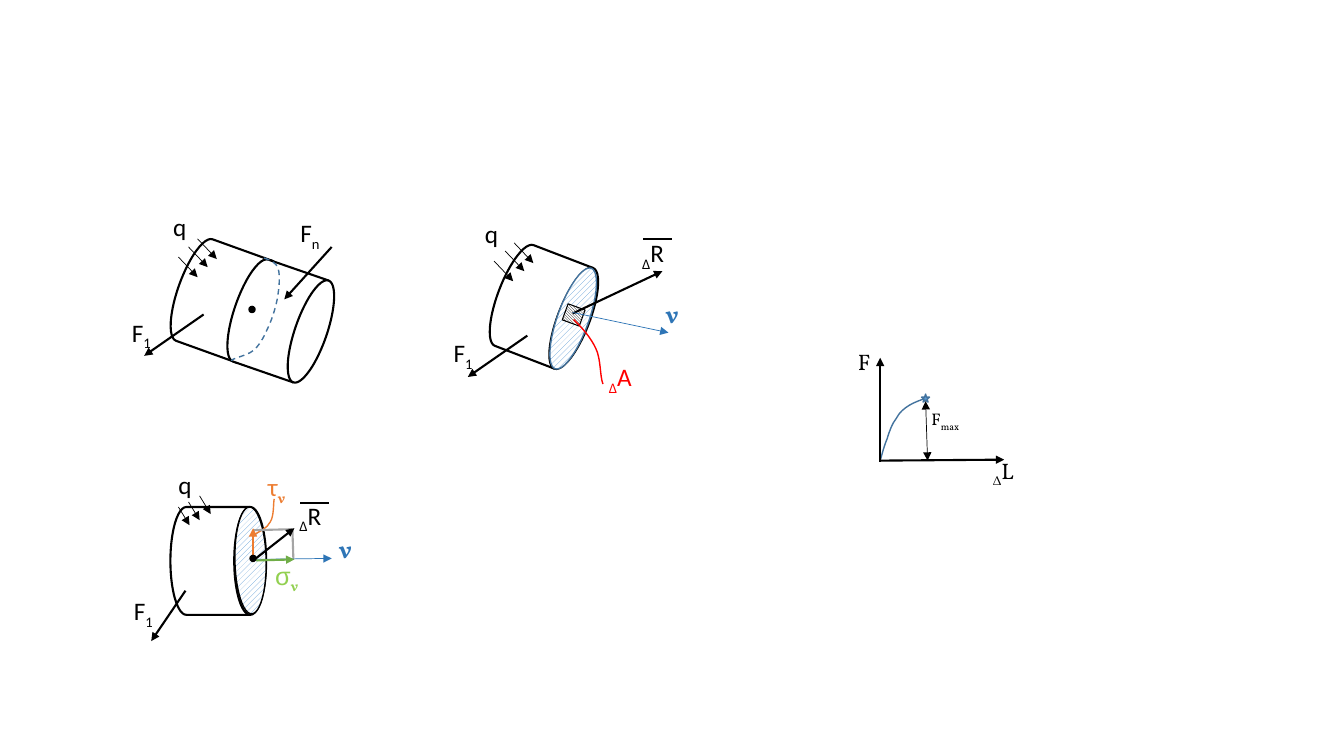
from dataclasses import dataclass

from lxml import etree
from pptx import Presentation
from pptx.dml.color import RGBColor
from pptx.enum.dml import MSO_LINE, MSO_PATTERN
from pptx.enum.shapes import MSO_CONNECTOR, MSO_SHAPE
from pptx.enum.text import MSO_AUTO_SIZE
from pptx.oxml.ns import qn
from pptx.util import Inches, Pt


@dataclass(frozen=True)
class Theme:
    black: str = "000000"
    white: str = "FFFFFF"
    blue: str = "5B9BD5"
    outline: str = "43739E"
    normal: str = "2E75B6"
    red: str = "FF0000"
    orange: str = "ED7D31"
    green: str = "70AD47"
    lime: str = "92D050"
    gray: str = "A5A5A5"
    sans: str = "Calibri"
    sigma: str = "Arial"
    serif: str = "Vollkorn"
    large: int = 18
    medium: int = 16
    small: int = 12
    thick: float = 1.5
    medium_line: float = 1
    thin: float = 0.5


THEME = Theme()
HATCH = MSO_PATTERN.WIDE_UPWARD_DIAGONAL
DENSE_HATCH = MSO_PATTERN.DARK_DOWNWARD_DIAGONAL

# left, top, rotation
DRUM_SIZE = (0.95, 1.07)
DRUMS = [(1.75, 2.45, 19.8), (2.31, 2.65, 19.1), (4.92, 2.51, 21), (1.69, 5.03, 0)]

# left, top, rotation, outline
SECTION_SIZE = (0.31, 1.06)
SECTIONS = [(5.53, 2.63, 19.8, THEME.outline), (2.33, 5.03, 358.8, THEME.black)]

DOT_SIZE = (0.06, 0.06)
DOTS = [(2.47, 3.04), (2.48, 5.51)]

# start point, then two control points and an end point per segment
CURVES = [
    ([(2.62, 2.56), (2.68, 2.58), (2.74, 2.6), (2.76, 2.67),
      (2.78, 2.73), (2.77, 2.86), (2.75, 2.97),
      (2.73, 3.07), (2.69, 3.19), (2.65, 3.27),
      (2.61, 3.36), (2.57, 3.43), (2.51, 3.48),
      (2.45, 3.53), (2.28, 3.56), (2.3, 3.58)], THEME.outline, MSO_LINE.DASH),
    ([(5.69, 3.17), (5.78, 3.26), (5.86, 3.35), (5.91, 3.46),
      (5.96, 3.56), (5.95, 3.74), (5.98, 3.81)], THEME.red, None),
    ([(2.51, 5.31), (2.58, 5.27), (2.65, 5.24), (2.68, 5.18),
      (2.72, 5.12), (2.71, 4.99), (2.72, 4.95)], THEME.orange, None),
    ([(8.73, 4.57), (8.75, 4.5), (8.77, 4.42), (8.8, 4.35),
      (8.82, 4.28), (8.85, 4.2), (8.89, 4.15),
      (8.92, 4.09), (8.97, 4.05), (9.02, 4.02),
      (9.07, 3.99), (9.13, 3.97), (9.18, 3.95)], THEME.outline, None),
]

# start points and the common run of each distributed load
LOADS = [
    ([(1.77, 2.55), (1.87, 2.45), (1.96, 2.37)], (0.19, 0.2)),
    ([(4.9, 2.59), (5.01, 2.49), (5.1, 2.41)], (0.19, 0.2)),
    ([(1.77, 5.03), (1.87, 4.98), (1.98, 4.92)], (0.11, 0.18)),
]

# start, end, colour, width
PLAIN_LINES = [
    ((2.9, 5.25), (2.91, 5.55), THEME.gray, THEME.thick),
    ((2.51, 5.26), (2.9, 5.25), THEME.gray, THEME.thick),
    ((6.38, 2.37), (6.67, 2.37), THEME.black, THEME.thick),
    ((2.98, 4.99), (3.26, 4.99), THEME.black, THEME.thick),
]
ARROWS = [
    ((2.02, 3.12), (1.43, 3.53), THEME.black, THEME.thick),
    ((3.29, 2.45), (2.82, 2.97), THEME.black, THEME.thick),
    ((5.23, 3.33), (4.64, 3.74), THEME.black, THEME.thick),
    ((5.68, 3.11), (6.57, 2.69), THEME.black, THEME.thick),
    ((5.68, 3.1), (6.63, 3.3), THEME.normal, THEME.thin),
    ((1.84, 5.86), (1.5, 6.36), THEME.black, THEME.thick),
    ((2.48, 5.55), (3.29, 5.54), THEME.normal, THEME.thin),
    ((2.5, 5.57), (2.92, 5.24), THEME.black, THEME.thick),
    ((2.51, 5.51), (2.51, 5.24), THEME.orange, THEME.thick),
    ((2.54, 5.56), (2.92, 5.55), THEME.green, THEME.thick),
    ((8.73, 4.58), (8.73, 3.55), THEME.black, THEME.thick),
    ((8.73, 4.57), (9.96, 4.56), THEME.black, THEME.thick),
]
FORCE_SPAN = ((9.18, 3.98), (9.2, 4.57), THEME.black, THEME.thin)

# Runs starting with "_" are subscripts.
LABEL_HEIGHTS = {THEME.large: 0.4, THEME.medium: 0.37, THEME.small: 0.3}
# left, top, width, runs, font, size, colour
LABELS = [
    *[(left, top, 0.4, ["F", "_1"], THEME.sans, THEME.large, THEME.black)
      for left, top in [(1.21, 3.1), (4.4, 3.3), (1.23, 5.86)]],
    *[(left, top, 0.34, ["q"], THEME.sans, THEME.large, THEME.black)
      for left, top in [(1.62, 2.05), (4.71, 2.12), (1.67, 4.61)]],
    *[(left, top, 0.43, ["_Δ", "R"], THEME.sans, THEME.large, THEME.black)
      for left, top in [(6.27, 2.31), (2.87, 4.91)]],
    *[(left, top, 0.35, ["ν"], THEME.serif, THEME.large, THEME.normal)
      for left, top in [(6.5, 2.91), (3.26, 5.24)]],
    (2.88, 2.11, 0.41, ["F", "_n"], THEME.sans, THEME.large, THEME.black),
    (5.94, 3.54, 0.44, ["_Δ", "A"], THEME.sans, THEME.large, THEME.red),
    (2.63, 5.51, 0.45, ["σ", "_ν"], THEME.sigma, THEME.large, THEME.lime),
    (2.56, 4.63, 0.4, ["τ", "_ν"], THEME.sans, THEME.large, THEME.orange),
    (8.41, 3.4, 0.33, ["F"], THEME.serif, THEME.medium, THEME.black),
    (9.75, 4.49, 0.44, ["_Δ", "L"], THEME.serif, THEME.medium, THEME.black),
    (9.14, 4.01, 0.51, ["F", "_max"], THEME.serif, THEME.small, THEME.black),
]


def color(value):
    return RGBColor.from_string(value)


def set_line(shape, line_color, width):
    shape.line.color.rgb = color(line_color)
    shape.line.width = Pt(width)


def add_figure(slide, kind, position, size, fill, outline, width, rotation=0, pattern=None):
    shape = slide.shapes.add_shape(kind, *map(Inches, (*position, *size)))
    shape.shadow.inherit = False
    shape.rotation = rotation
    if pattern is None:
        shape.fill.solid()
        shape.fill.fore_color.rgb = color(fill)
    else:
        shape.fill.patterned()
        shape.fill.pattern = pattern
        shape.fill.fore_color.rgb = color(fill)
        shape.fill.back_color.rgb = color(THEME.white)
    set_line(shape, outline, width)


def add_line(slide, start, end, line_color, width, arrow_ends=()):
    """Draw a line; arrow_ends may hold headEnd (start) and tailEnd (end)."""
    connector = slide.shapes.add_connector(
        MSO_CONNECTOR.STRAIGHT, *map(Inches, (*start, *end)))
    set_line(connector, line_color, width)
    line = connector.line._get_or_add_ln()
    for arrow_end in arrow_ends:
        etree.SubElement(line, qn(f"a:{arrow_end}"), type="triangle")
    etree.SubElement(connector._element.spPr, qn("a:effectLst"))


def add_curve(slide, points, line_color, dash):
    """Build a freeform through the points, then turn each three steps into a Bézier."""
    start, *steps = [tuple(map(Inches, point)) for point in points]
    builder = slide.shapes.build_freeform(*start)
    builder.add_line_segments(steps, close=False)
    shape = builder.convert_to_shape()
    shape.shadow.inherit = False
    shape.fill.background()
    set_line(shape, line_color, THEME.medium_line)
    if dash is not None:
        shape.line.dash_style = dash
    outline = next(shape._element.iter(qn("a:path")))
    segments = outline.findall(qn("a:lnTo"))
    for first in range(0, len(segments), 3):
        bezier = etree.SubElement(outline, qn("a:cubicBezTo"))
        for segment in segments[first:first + 3]:
            bezier.append(segment[0])
            outline.remove(segment)


def add_label(slide, left, top, width, runs, font_name, size, text_color):
    box = slide.shapes.add_textbox(*map(Inches, (left, top, width, LABEL_HEIGHTS[size])))
    frame = box.text_frame
    frame.word_wrap = False
    frame.auto_size = MSO_AUTO_SIZE.SHAPE_TO_FIT_TEXT
    paragraph = frame.paragraphs[0]
    paragraph.font.size = Pt(size)
    paragraph.font.name = font_name
    paragraph.font.color.rgb = color(text_color)
    for text in runs:
        run = paragraph.add_run()
        run.text = text.lstrip("_")
        if text.startswith("_"):
            run._r.get_or_add_rPr().set("baseline", "-25000")
        if run.text == "ν":
            run.font.name = THEME.serif
            run.font.bold = True


def main():
    presentation = Presentation()
    presentation.slide_width, presentation.slide_height = Inches(13.33), Inches(7.5)
    slide = presentation.slides.add_slide(presentation.slide_layouts[6])

    for left, top, rotation in DRUMS:
        add_figure(slide, MSO_SHAPE.FLOWCHART_DIRECT_ACCESS_STORAGE, (left, top), DRUM_SIZE,
                   THEME.white, THEME.black, THEME.thick, rotation)
    for left, top, rotation, outline in SECTIONS:
        add_figure(slide, MSO_SHAPE.OVAL, (left, top), SECTION_SIZE,
                   THEME.blue, outline, THEME.medium_line, rotation, HATCH)
    add_figure(slide, MSO_SHAPE.RECTANGLE, (5.6, 3.04), (0.18, 0.17),
               THEME.black, THEME.black, 0.75, 20.1, DENSE_HATCH)
    for curve in CURVES:
        add_curve(slide, *curve)
    add_figure(slide, MSO_SHAPE.STAR_5_POINT, (9.14, 3.91), (0.08, 0.08),
               THEME.blue, THEME.outline, THEME.medium_line)

    for line in PLAIN_LINES:
        add_line(slide, *line)
    for starts, (run, drop) in LOADS:
        for x, y in starts:
            add_line(slide, (x, y), (x + run, y + drop), THEME.black, THEME.thin, ["tailEnd"])
    for arrow in ARROWS:
        add_line(slide, *arrow, ["tailEnd"])
    add_line(slide, *FORCE_SPAN, ["headEnd", "tailEnd"])
    for position in DOTS:
        add_figure(slide, MSO_SHAPE.OVAL, position, DOT_SIZE,
                   THEME.black, THEME.black, THEME.medium_line)
    for label in LABELS:
        add_label(slide, *label)
    presentation.save("out.pptx")


if __name__ == "__main__":
    main()
